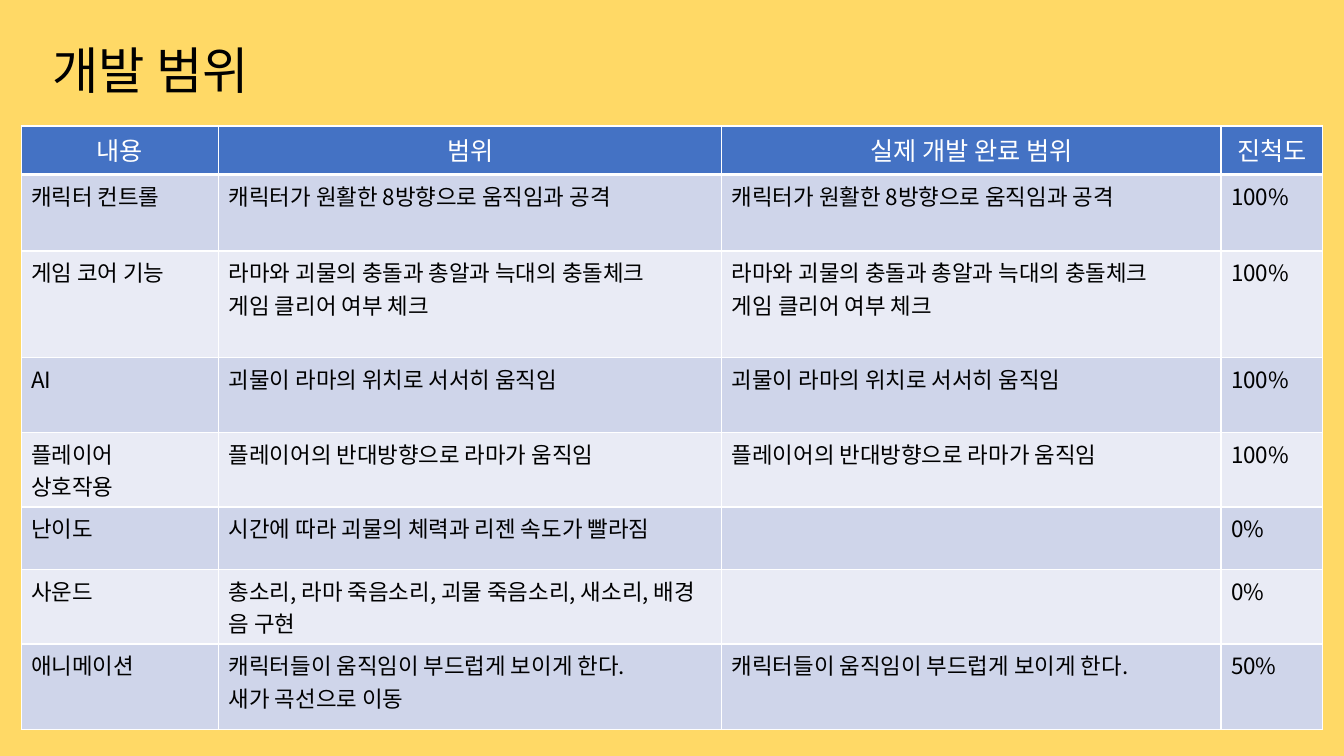
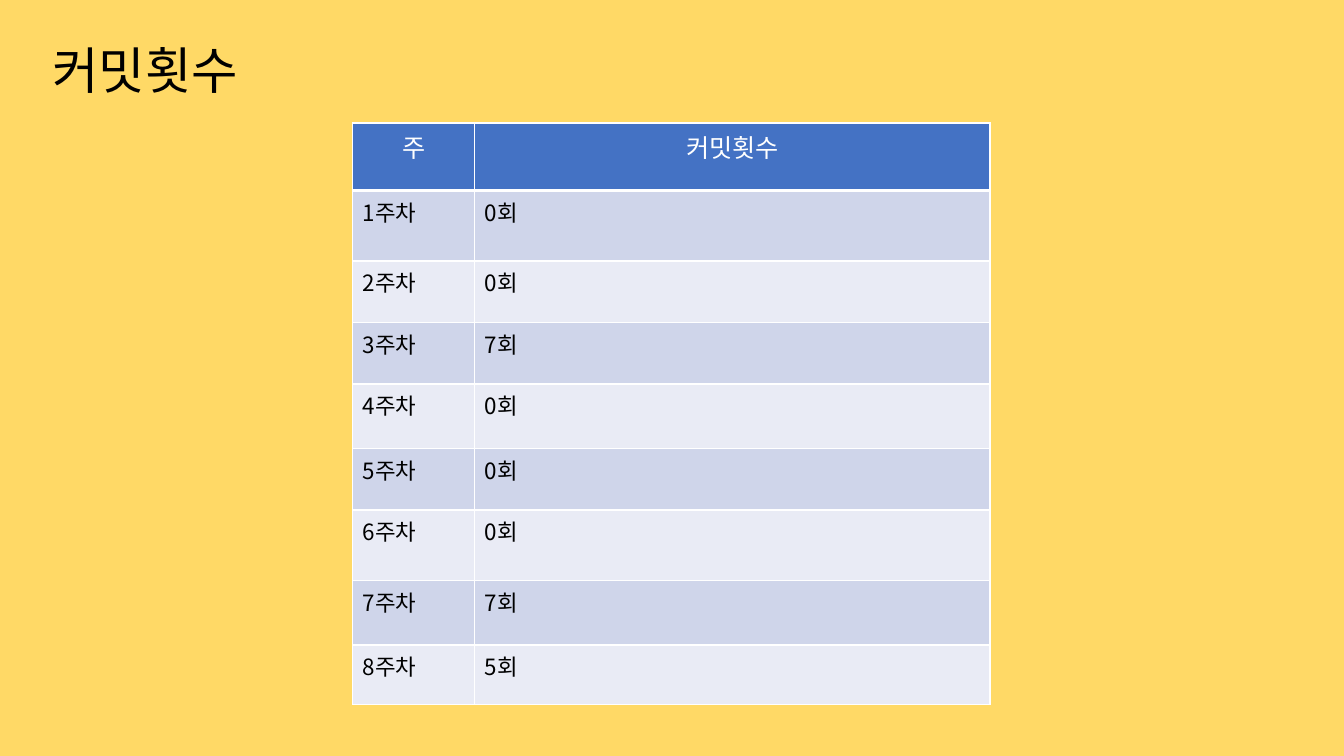
import pptx
import pptx.dml.color
import pptx.enum.text
import pptx.oxml
import pptx.oxml.ns
import pptx.util
from pptx.util import Inches

FONT = "Noto Sans CJK KR"
BACK, HEAD, BANDS = "FFD966", "4472C4", ("CFD5EA", "E9EBF5")
WHITE, BLACK = "FFFFFF", "000000"
CENTER = pptx.enum.text.PP_ALIGN.CENTER

SCOPE = [
    ("내용", "범위", "실제 개발 완료 범위", "진척도"),
    ("캐릭터 컨트롤", "캐릭터가 원활한 8방향으로 움직임과 공격",
     "캐릭터가 원활한 8방향으로 움직임과 공격", "100%"),
    ("게임 코어 기능",
     "라마와 괴물의 충돌과 총알과 늑대의 충돌체크\n게임 클리어 여부 체크",
     "라마와 괴물의 충돌과 총알과 늑대의 충돌체크\n게임 클리어 여부 체크", "100%"),
    ("AI", "괴물이 라마의 위치로 서서히 움직임",
     "괴물이 라마의 위치로 서서히 움직임", "100%"),
    ("플레이어\n상호작용", "플레이어의 반대방향으로 라마가 움직임",
     "플레이어의 반대방향으로 라마가 움직임", "100%"),
    ("난이도", "시간에 따라 괴물의 체력과 리젠 속도가 빨라짐", "", "0%"),
    ("사운드", "총소리, 라마 죽음소리, 괴물 죽음소리, 새소리, 배경 음 구현", "", "0%"),
    ("애니메이션", "캐릭터들이 움직임이 부드럽게 보이게 한다.\n새가 곡선으로 이동",
     "캐릭터들이 움직임이 부드럽게 보이게 한다.", "50%"),
]
COUNTS = (0, 0, 7, 0, 0, 0, 7, 5)
COMMITS = [("주", "커밋횟수")] + [
    (f"{week}주차", f"{count}회") for week, count in enumerate(COUNTS, 1)]


def color(code):
    return pptx.dml.color.RGBColor.from_string(code)


def paint(fill, code):
    fill.solid()
    fill.fore_color.rgb = color(code)


def write(frame, text, size=16, ink=BLACK, align=None):
    """Fill a text frame, one paragraph for each line of text."""
    frame.text = text
    for para in frame.paragraphs:
        para.alignment = align
        for run in para.runs:
            run.font.size = pptx.util.Pt(size)
            run.font.name = FONT
            run.font.color.rgb = color(ink)
            east = pptx.oxml.parse_xml(
                f'<a:ea {pptx.oxml.ns.nsdecls("a")} typeface="{FONT}"/>')
            run.font._element.find(pptx.oxml.ns.qn("a:latin")).addnext(east)


def border(cell, base=1):
    """Draw white lines round a cell; base is the bottom width in points."""
    props = cell._tc.get_or_add_tcPr()
    for side, width in zip("LRTB", (1, 1, 1, base)):
        props.append(pptx.oxml.parse_xml(
            f'<a:ln{side} {pptx.oxml.ns.nsdecls("a")} w="{pptx.util.Pt(width)}">'
            f'<a:solidFill><a:srgbClr val="{WHITE}"/></a:solidFill></a:ln{side}>'))


def grid(slide, left, top, widths, heights, data):
    """Place a table with a blue header and banded rows."""
    table = slide.shapes.add_table(
        len(heights), len(widths), Inches(left), Inches(top),
        Inches(sum(widths)), Inches(sum(heights))).table
    for col, width in zip(table.columns, widths):
        col.width = Inches(width)
    for r, (row, height) in enumerate(zip(table.rows, heights)):
        row.height = Inches(height)
        for cell, text in zip(row.cells, data[r]):
            border(cell, 1 if r else 3)
            paint(cell.fill, BANDS[(r - 1) % 2] if r else HEAD)
            if r:
                write(cell.text_frame, text)
            else:
                write(cell.text_frame, text, size=18, ink=WHITE, align=CENTER)


def page(deck, title):
    """Add a slide with the shared background and title."""
    slide = deck.slides.add_slide(deck.slide_layouts[6])
    paint(slide.background.fill, BACK)
    box = slide.shapes.add_textbox(
        Inches(0.42), Inches(0.34), Inches(2.52), Inches(0.71))
    box.text_frame.word_wrap = True
    write(box.text_frame, title, size=36)
    return slide


def main():
    deck = pptx.Presentation()
    deck.slide_width, deck.slide_height = Inches(13.33), Inches(7.5)
    grid(page(deck, "개발 범위"), 0.21, 1.25, (1.96, 4.99, 4.95, 1.01),
         (0.48, 0.76, 1.06, 0.74, 0.74, 0.62, 0.74, 0.85), SCOPE)
    grid(page(deck, "커밋횟수"), 3.5, 1.22, (1.21, 5.11),
         (0.67, 0.7, 0.61, 0.61, 0.64, 0.61, 0.7, 0.64, 0.59), COMMITS)
    deck.save("out.pptx")


if __name__ == "__main__":
    main()
